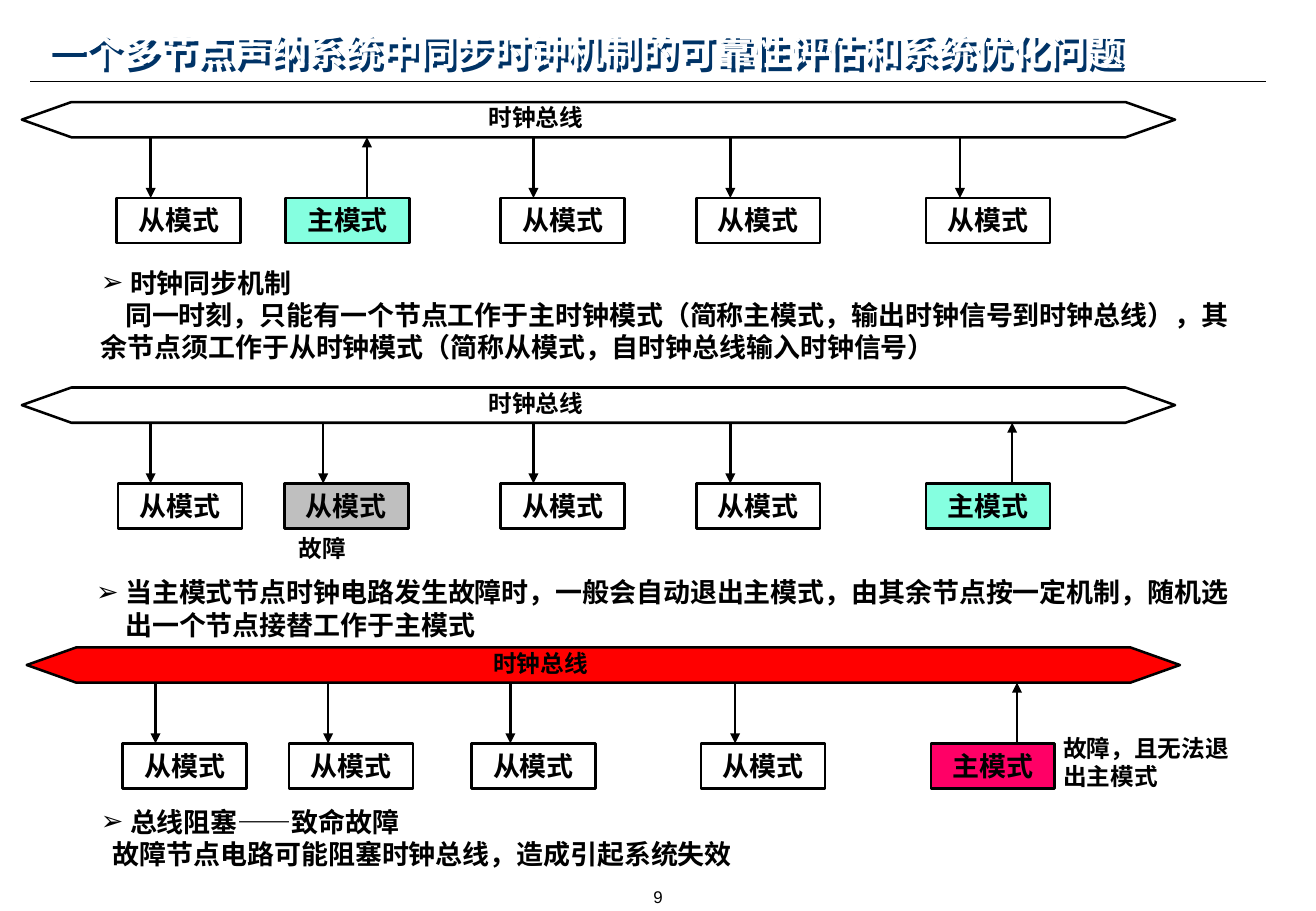
import pptx
import pptx.util
import pptx.dml.color
import pptx.enum.shapes
import pptx.enum.text
import pptx.oxml
import pptx.oxml.ns
from lxml import etree

Inches = pptx.util.Inches
Pt = pptx.util.Pt
SHAPE = pptx.enum.shapes.MSO_SHAPE
ALIGN = pptx.enum.text.PP_ALIGN
ANCHOR = pptx.enum.text.MSO_ANCHOR
qn = pptx.oxml.ns.qn

CJK = "Noto Sans CJK SC"
TITLE = "一个多节点声纳系统中同步时钟机制的可靠性评估和系统优化问题"
BUS, SLAVE, MASTER = "时钟总线", "从模式", "主模式"
AQUA, GREY, PINK, RED, WHITE = "85FFE0", "BFBFBF", "FF0066", "FF0000", "FFFFFF"

# left, top, bus fill, nodes as (mode, box left, arrow x, fill)
ROWS = [
    (0.18, 0.84, WHITE, [
        (SLAVE, 0.96, 1.24, None), (MASTER, 2.35, 3.02, AQUA), (SLAVE, 4.12, 4.39, None),
        (SLAVE, 5.73, 6.01, None), (SLAVE, 7.62, 7.9, None)]),
    (0.18, 3.19, WHITE, [
        (SLAVE, 0.97, 1.24, None), (SLAVE, 2.34, 2.66, GREY), (SLAVE, 4.12, 4.39, None),
        (SLAVE, 5.73, 6.01, None), (MASTER, 7.62, 8.33, AQUA)]),
    (0.22, 5.33, RED, [
        (SLAVE, 1.01, 1.28, None), (SLAVE, 2.38, 2.7, WHITE), (SLAVE, 3.88, 4.2, WHITE),
        (SLAVE, 5.77, 6.05, None), (MASTER, 7.66, 8.37, PINK)]),
]
BUS_W, BUS_H = 9.49, 0.29
BOX_W, BOX_H, BOX_DROP = 1.02, 0.37, 0.79

LISTS = [
    ((0.73, 2.14, 9.61, 0.91), "时钟同步机制", 0.2,
     "同一时刻，只能有一个节点工作于主时钟模式（简称主模式，输出时钟信号到时钟总线），"
     "其余节点须工作于从时钟模式（简称从模式，自时钟总线输入时钟信号）"),
    ((0.69, 4.69, 9.61, 0.64),
     "当主模式节点时钟电路发生故障时，一般会自动退出主模式，由其余节点按一定机制，"
     "随机选出一个节点接替工作于主模式", 0, None),
    ((0.73, 6.58, 10.1, 0.64), "总线阻塞——致命故障", 0.1,
     "故障节点电路可能阻塞时钟总线，造成引起系统失效"),
]
LABELS = [
    ((1.83, 4.35, 1.65, 0.33), "故障", ALIGN.CENTER),
    ((8.75, 5.99, 1.51, 0.57), "故障，且无法退出主模式", ALIGN.LEFT),
]


def rgb(value):
    return pptx.dml.color.RGBColor.from_string(value)


def write(p, text, size=16, color="000000", font=CJK, bold=True, align=ALIGN.LEFT):
    p.alignment = align
    p.space_before = p.space_after = Pt(0)
    r = p.add_run()
    r.text = text
    r.font.size, r.font.bold, r.font.name = Pt(size), bold, font
    r.font.color.rgb = rgb(color)
    etree.SubElement(r._r.get_or_add_rPr(), qn("a:ea")).set("typeface", CJK)


def place(sp, at):
    sp.left, sp.top, sp.width, sp.height = [Inches(v) for v in at]


def frame(sp, side=0.1, anchor=ANCHOR.TOP):
    tf = sp.text_frame
    tf.word_wrap = True
    tf.auto_size = pptx.enum.text.MSO_AUTO_SIZE.NONE
    tf.vertical_anchor = anchor
    tf.margin_left = tf.margin_right = Inches(side)
    tf.margin_top = tf.margin_bottom = Inches(0.05)
    return tf


def add_text(at, text, **fmt):
    sp = s.shapes.add_textbox(*[Inches(v) for v in at])
    write(frame(sp, 0).paragraphs[0], text, **fmt)


def add_box(kind, at, fill):
    sp = s.shapes.add_shape(kind, *[Inches(v) for v in at])
    sp.shadow.inherit = False
    if fill:
        sp.fill.solid()
        sp.fill.fore_color.rgb = rgb(fill)
    else:
        sp.fill.background()
    sp.line.color.rgb = rgb("000000")
    sp.line.width = Pt(1.5)
    return sp


def add_line(x1, y1, x2, y2, width=1.5, arrow=True):
    c = s.shapes.add_connector(pptx.enum.shapes.MSO_CONNECTOR.STRAIGHT,
                               Inches(x1), Inches(y1), Inches(x2), Inches(y2))
    c.line.color.rgb = rgb("000000")
    c.line.width = Pt(width)
    if arrow:
        etree.SubElement(c.line._get_or_add_ln(), qn("a:tailEnd")).set("type", "triangle")
    etree.SubElement(c._element.spPr, qn("a:effectLst"))


def indent(p, left, first, bullet=None):
    pPr = p._p.get_or_add_pPr()
    pPr.set("marL", str(Inches(left)))
    pPr.set("indent", str(Inches(first)))
    if bullet:
        etree.SubElement(pPr, qn("a:buFont")).set("typeface", "Arial")
        etree.SubElement(pPr, qn("a:buChar")).set("char", bullet)
    else:
        etree.SubElement(pPr, qn("a:buNone"))


prs = pptx.Presentation()
prs.slide_width, prs.slide_height = Inches(10.83), Inches(7.5)
s = prs.slides.add_slide(prs.slide_layouts[4])
title, *bodies = s.placeholders

place(title, (0.3, 0.17, 10.53, 0.5))
write(frame(title, anchor=ANCHOR.MIDDLE).paragraphs[0], TITLE, size=22, color=WHITE, font="Arial")
title._element.spPr.append(pptx.oxml.parse_xml(
    '<a:effectLst xmlns:a="http://schemas.openxmlformats.org/drawingml/2006/main">'
    '<a:outerShdw dist="35921" dir="2700000" algn="ctr" rotWithShape="0">'
    '<a:srgbClr val="003366"/></a:outerShdw></a:effectLst>'))
add_line(0.25, 0.67, 10.42, 0.67, width=0.75, arrow=False)

for body, (at, head, first, detail) in zip(bodies, LISTS):
    place(body, at)
    tf = frame(body)
    write(tf.paragraphs[0], head)
    indent(tf.paragraphs[0], 0.24, -0.24, "➢")
    if detail:
        p = tf.add_paragraph()
        write(p, detail)
        indent(p, 0, first)
for body in bodies[len(LISTS):]:
    body._element.getparent().remove(body._element)

for left, top, bus_fill, nodes in ROWS:
    bus = add_box(SHAPE.LEFT_RIGHT_ARROW, (left, top, BUS_W, BUS_H), bus_fill)
    bus.adjustments[0], bus.adjustments[1] = 1, 1.405
    add_text((left + 3.58, top - 0.04, 1.3, 0.33), BUS, size=14, align=ALIGN.CENTER)
    box_top = top + BOX_DROP
    for mode, box_left, x, fill in nodes:
        box = add_box(SHAPE.RECTANGLE, (box_left, box_top, BOX_W, BOX_H), fill)
        write(frame(box, 0).paragraphs[0], mode, align=ALIGN.CENTER)
        ends = (top + BUS_H, box_top) if mode == SLAVE else (box_top, top + BUS_H)
        add_line(x, ends[0], x, ends[1])

for at, text, align in LABELS:
    add_text(at, text, size=14, align=align)
add_text((3.7, 7.25, 3.43, 0.25), "9", size=10, font="Arial", bold=False, align=ALIGN.CENTER)
prs.save("out.pptx")
